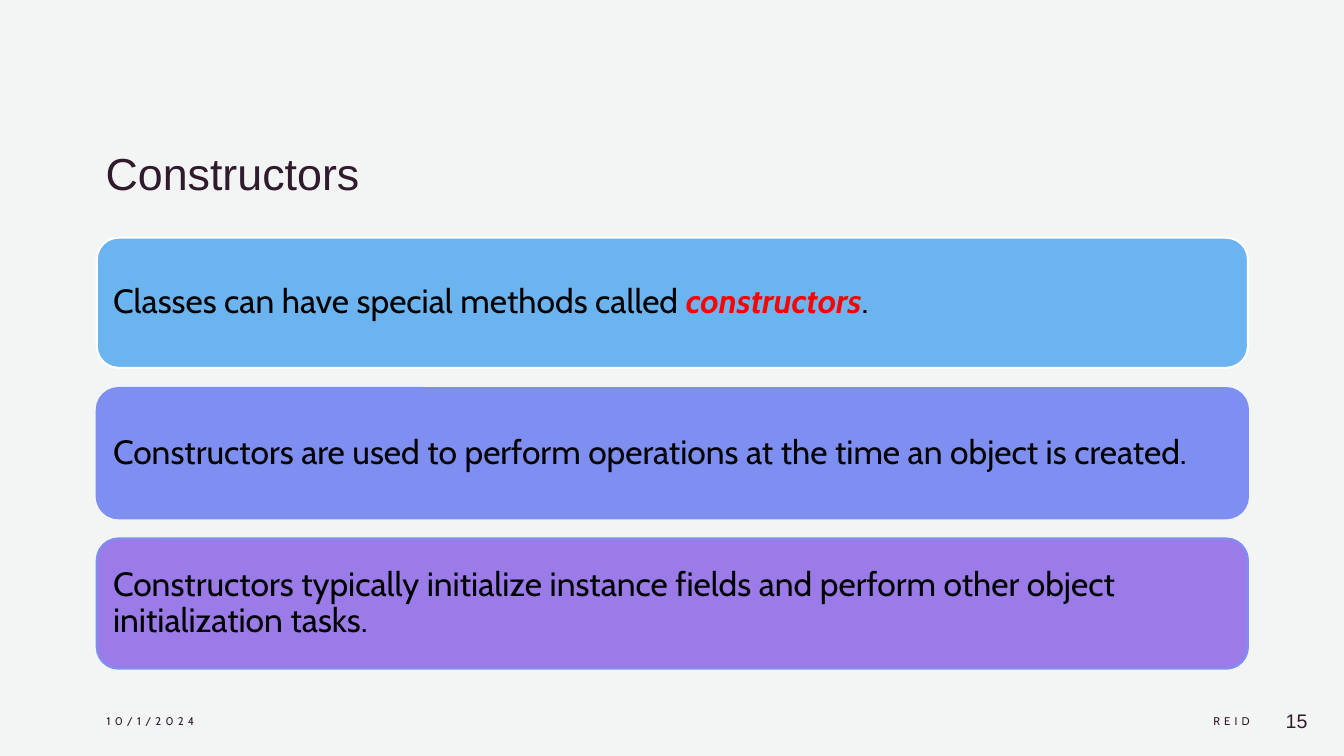
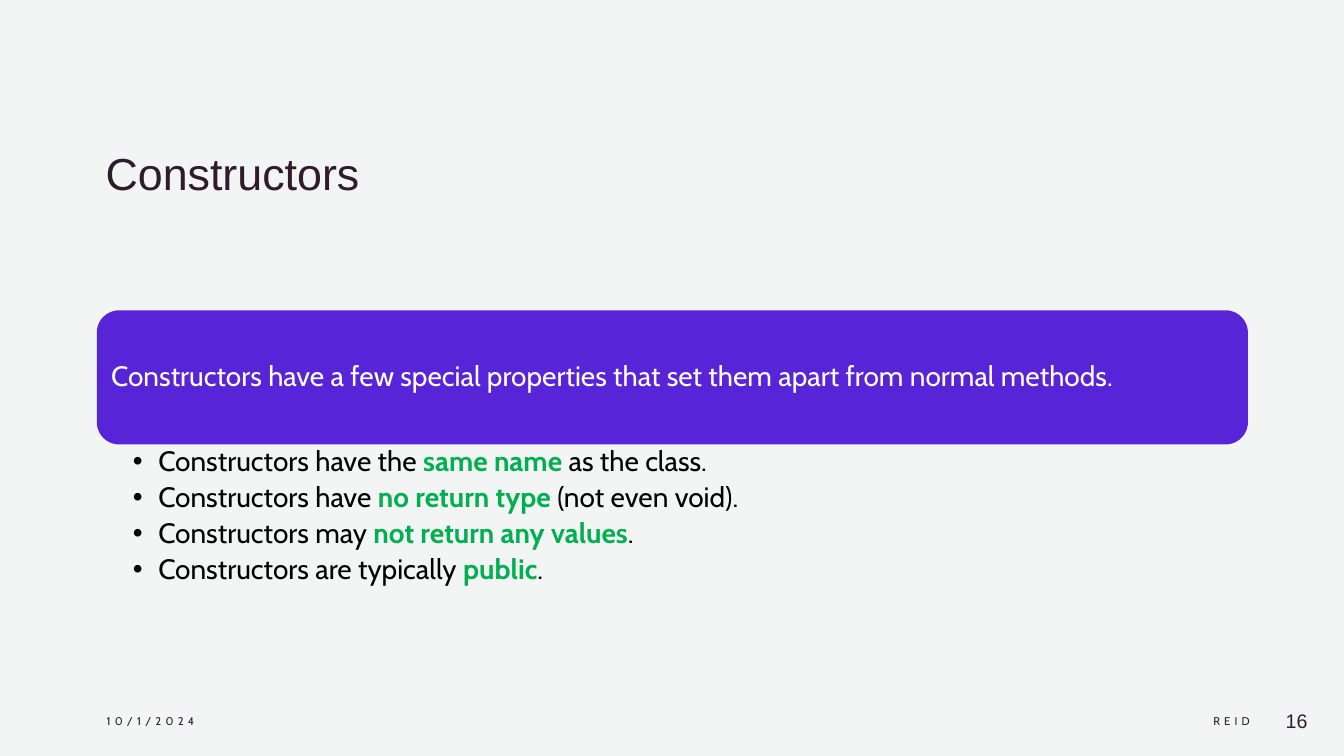
from dataclasses import dataclass, field
from typing import Optional

from lxml.etree import SubElement
from pptx import Presentation
from pptx.dml.color import RGBColor
from pptx.enum.shapes import MSO_SHAPE
from pptx.enum.text import MSO_ANCHOR, PP_ALIGN
from pptx.oxml.ns import qn
from pptx.util import Cm, Pt

BACKGROUND = RGBColor(0xF3, 0xF5, 0xF4)
INK = RGBColor(0x30, 0x1B, 0x2D)
BLACK = RGBColor(0x00, 0x00, 0x00)
WHITE = RGBColor(0xFF, 0xFF, 0xFF)
RED = RGBColor(0xFF, 0x00, 0x00)
GREEN = RGBColor(0x00, 0xB0, 0x50)
SKY = RGBColor(0x6B, 0xB4, 0xEF)
PERIWINKLE = RGBColor(0x7F, 0x8F, 0xF1)
LILAC = RGBColor(0x9A, 0x7B, 0xE8)
VIOLET = RGBColor(0x57, 0x25, 0xD7)

HEADING_FONT, BODY_FONT = "Arial", "Cabin"
LEFT, WIDTH = 2.44, 29.01
CARD_TOP, CARD_HEIGHT, CARD_PITCH = 5.99, 3.28, 3.79
FOOTER_TOP, FOOTER_HEIGHT = 17.65, 1.02


@dataclass
class Run:
    text: str
    format: dict = field(default_factory=dict)
    color: Optional[RGBColor] = None


@dataclass
class Card:
    runs: list[Run]
    fill: RGBColor
    line: Optional[RGBColor] = None


@dataclass
class FooterItem:
    text: str
    left: float
    width: float
    align: PP_ALIGN
    font: str = BODY_FONT
    size: int = 8
    spacing: int = 300


KEY = {"bold": True, "italic": True}
BOLD = {"bold": True}

CARDS = [
    Card([Run("Classes can have special methods called "),
          Run("constructors", KEY, RED), Run(".")], SKY, WHITE),
    Card([Run("Constructors are used to perform operations at the time "
              "an object is created.")], PERIWINKLE, PERIWINKLE),
    Card([Run("Constructors typically initialize instance fields and perform "
              "other object initialization tasks.")], LILAC, PERIWINKLE),
]
INTRO = Card([Run("Constructors have a few special properties that set them "
                  "apart from normal methods.")], VIOLET)
PROPERTIES = [
    [Run("Constructors have the "), Run("same name ", BOLD, GREEN),
     Run("as the class.")],
    [Run("Constructors have "), Run("no return type ", BOLD, GREEN),
     Run("(not even void).")],
    [Run("Constructors may "), Run("not return any values", BOLD, GREEN),
     Run(".")],
    [Run("Constructors are typically "), Run("public", BOLD, GREEN),
     Run(".")],
]


def set_attrs(target, values: dict) -> None:
    for name, value in values.items():
        setattr(target, name, value)


def add_runs(p, runs: list[Run], size: int, color: RGBColor,
             font: str = BODY_FONT, spacing: int = 0) -> None:
    for run in runs:
        r = p.add_run()
        r.text = run.text
        set_attrs(r.font, {"name": font, "size": Pt(size), **run.format})
        r.font.color.rgb = run.color or color
        if spacing:
            r.font._element.set("spc", str(spacing))


def add_text_box(s, left: float, top: float, width: float, height: float,
                 anchor: MSO_ANCHOR):
    tf = s.shapes.add_textbox(Cm(left), Cm(top), Cm(width), Cm(height)).text_frame
    set_attrs(tf, {"word_wrap": True, "vertical_anchor": anchor})
    return tf


def add_card(s, card: Card, top: float, height: float, inset: float,
             size: int, color: RGBColor) -> None:
    sp = s.shapes.add_shape(MSO_SHAPE.ROUNDED_RECTANGLE,
                            Cm(LEFT), Cm(top), Cm(WIDTH), Cm(height))
    sp.shadow.inherit = False
    sp.fill.solid()
    sp.fill.fore_color.rgb = card.fill
    if card.line is None:
        sp.line.fill.background()
    else:
        sp.line.color.rgb = card.line
        sp.line.width = Pt(1.5)
    tf = sp.text_frame
    sides = ("left", "top", "right", "bottom")
    set_attrs(tf, {f"margin_{side}": Cm(inset) for side in sides})
    set_attrs(tf, {"word_wrap": True, "vertical_anchor": MSO_ANCHOR.MIDDLE})
    p = tf.paragraphs[0]
    set_attrs(p, {"alignment": PP_ALIGN.LEFT, "line_spacing": 0.9})
    add_runs(p, card.runs, size, color)


def add_bullets(s, items: list[list[Run]], top: float, height: float) -> None:
    tf = add_text_box(s, LEFT, top, WIDTH, height, MSO_ANCHOR.TOP)
    set_attrs(tf, {"margin_left": Cm(0.91), "margin_right": Cm(0.41),
                   "margin_top": Cm(0.08), "margin_bottom": Cm(0.08)})
    for i, runs in enumerate(items):
        p = tf.add_paragraph() if i else tf.paragraphs[0]
        set_attrs(p, {"line_spacing": 0.9, "space_after": Pt(4)})
        pPr = p._p.get_or_add_pPr()
        pPr.set("marL", str(Cm(0.64)))
        pPr.set("indent", str(-Cm(0.64)))
        SubElement(pPr, qn("a:buFont"), typeface="Arial")
        SubElement(pPr, qn("a:buChar"), char="•")
        add_runs(p, runs, 20, BLACK)


def add_base_slide(prs, title: str, number: int):
    """Add a blank slide with the shared background, title and footer."""
    s = prs.slides.add_slide(prs.slide_layouts[6])
    s.background.fill.solid()
    s.background.fill.fore_color.rgb = BACKGROUND
    tf = add_text_box(s, 2.41, 1.63, 29.03, 3.51, MSO_ANCHOR.BOTTOM)
    add_runs(tf.paragraphs[0], [Run(title)], 32, INK, HEADING_FONT)
    for item in (
        FooterItem("10/1/2024", LEFT, 7.62, PP_ALIGN.LEFT),
        FooterItem("REID", 19.81, 11.94, PP_ALIGN.RIGHT),
        FooterItem(str(number), 31.75, 1.45, PP_ALIGN.RIGHT, HEADING_FONT, 14, 0),
    ):
        tf = add_text_box(s, item.left, FOOTER_TOP, item.width, FOOTER_HEIGHT,
                          MSO_ANCHOR.MIDDLE)
        p = tf.paragraphs[0]
        p.alignment = item.align
        add_runs(p, [Run(item.text)], item.size, INK, item.font, item.spacing)
    return s


def main() -> None:
    prs = Presentation()
    set_attrs(prs, {"slide_width": Cm(33.87), "slide_height": Cm(19.05)})

    s = add_base_slide(prs, "Constructors", 15)
    for i, card in enumerate(CARDS):
        add_card(s, card, CARD_TOP + i * CARD_PITCH, CARD_HEIGHT, 0.25, 24, BLACK)

    s = add_base_slide(prs, "Constructors", 16)
    add_card(s, INTRO, 7.82, 3.38, 0.2, 20, WHITE)
    add_bullets(s, PROPERTIES, 11.2, 3.84)

    prs.save("out.pptx")


if __name__ == "__main__":
    main()
